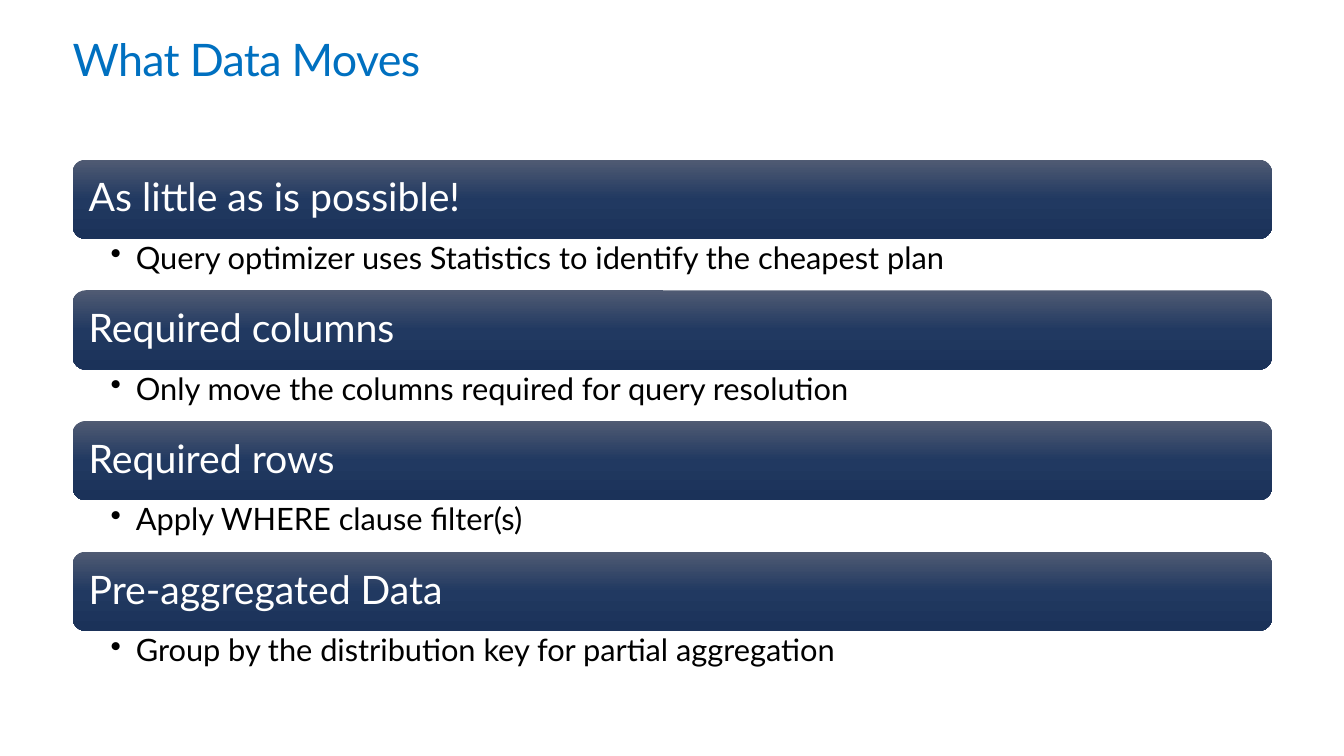
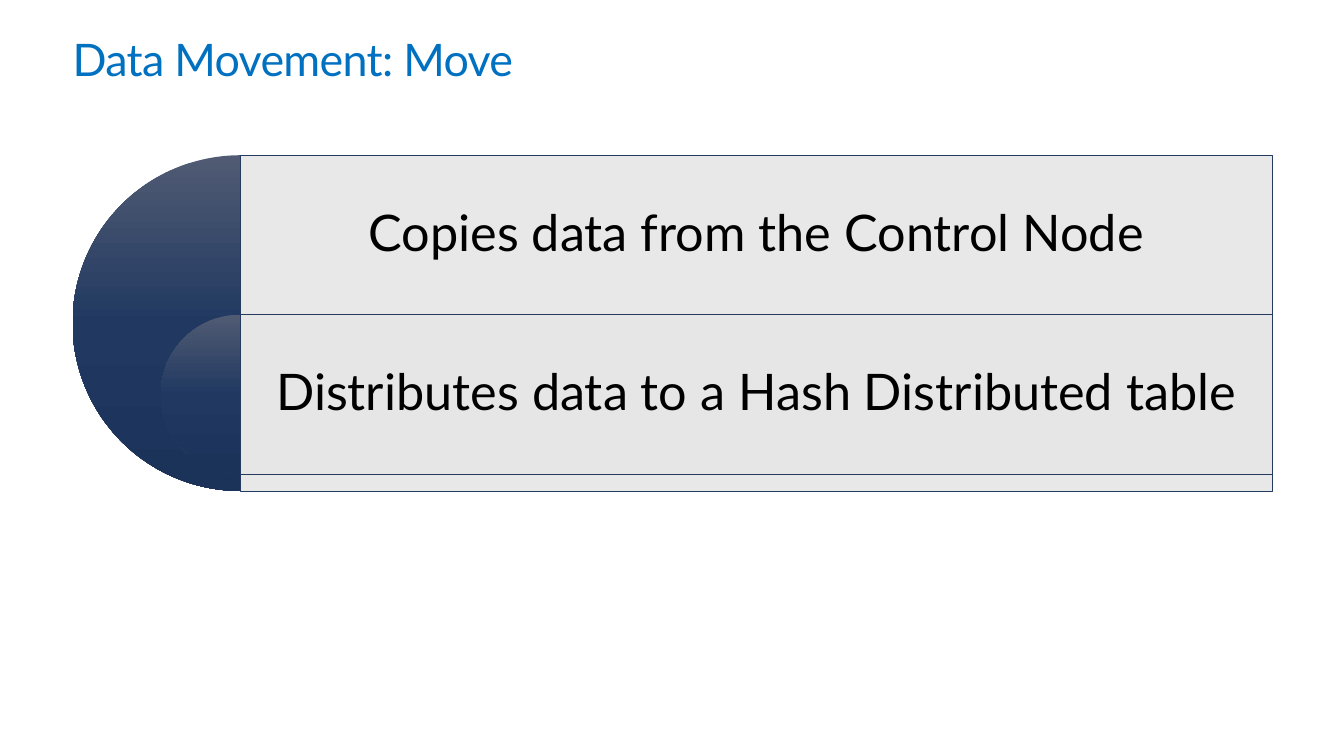
from pptx import Presentation
from pptx.dml.color import RGBColor
from pptx.enum.shapes import MSO_SHAPE
from pptx.enum.text import MSO_ANCHOR, PP_ALIGN
from pptx.oxml import parse_xml
from pptx.oxml.ns import nsdecls, qn
from pptx.util import Pt

# Content
MOVES_TITLE = "What Data Moves"
MOVES = [
    ("As little as is possible!",
     "Query optimizer uses Statistics to identify the cheapest plan"),
    ("Required columns", "Only move the columns required for query resolution"),
    ("Required rows", "Apply WHERE clause filter(s)"),
    ("Pre-aggregated Data", "Group by the distribution key for partial aggregation"),
]
STEPS_TITLE = "Data Movement: Move"
STEPS = ["Copies data from the Control Node",
         "Distributes data to a Hash Distributed table"]

# Shared style
COLORS = {"title": "0070C0", "light": "FFFFFF", "text": "000000",
          "panel": "E6E6E6", "outline": "243A5E"}
NAVY_STOPS = [(0, "505B73"), (50, "213961"), (100, "1B3259")]
FONT = "Lato"
LEFT, WIDTH = 51.84, 856.8
RIGHT = LEFT + WIDTH

# Bars of the first slide
BARS_TOP, BAR_HEIGHT, BAR_PITCH = 114, 56.7, 93.35

# Nested half circles of the second slide
STEPS_TOP, OUTER_SIZE, STEP_HEIGHT = 110.9, 239.8, 113.8


def write(shape, text, size=22, color="text", insets=(0, 0, 0, 0),
          align=PP_ALIGN.LEFT, anchor=MSO_ANCHOR.TOP, line_spacing=0.9,
          tracking=None, bullet_indent=None):
    """Put one formatted paragraph in a shape; insets are left, top, right, bottom."""
    frame = shape.text_frame
    frame.word_wrap = True
    frame.vertical_anchor = anchor
    (frame.margin_left, frame.margin_top,
     frame.margin_right, frame.margin_bottom) = map(Pt, insets)
    paragraph = frame.paragraphs[0]
    paragraph.alignment = align
    paragraph.line_spacing = line_spacing
    run = paragraph.add_run()
    run.text = text
    run.font.name = FONT
    run.font.size = Pt(size)
    run.font.color.rgb = RGBColor.from_string(COLORS[color])
    if tracking:
        run.font._element.set("spc", str(int(tracking * 100)))
    if bullet_indent:
        properties = paragraph._p.get_or_add_pPr()
        properties.set("marL", str(Pt(bullet_indent)))
        properties.set("indent", str(-Pt(bullet_indent)))
        properties.append(parse_xml(f'<a:buChar {nsdecls("a")} char="•"/>'))


def add_box(slide, *box):
    return slide.shapes.add_textbox(*map(Pt, box))


def add_navy(slide, kind, *box):
    """Add a borderless shape with the vertical navy gradient."""
    shape = slide.shapes.add_shape(kind, *map(Pt, box))
    stops = "".join(f'<a:gs pos="{pos * 1000}"><a:srgbClr val="{color}"/></a:gs>'
                    for pos, color in NAVY_STOPS)
    shape._element.spPr.insert(2, parse_xml(
        f'<a:gradFill {nsdecls("a")} rotWithShape="1"><a:gsLst>{stops}</a:gsLst>'
        '<a:lin ang="5400000" scaled="0"/></a:gradFill>'))
    shape.line.fill.background()
    shape.shadow.inherit = False
    return shape


def add_panel(slide, *box):
    """Add an outlined grey rectangle at 90% opacity."""
    panel = slide.shapes.add_shape(MSO_SHAPE.RECTANGLE, *map(Pt, box))
    panel.fill.solid()
    panel.fill.fore_color.rgb = RGBColor.from_string(COLORS["panel"])
    color = panel._element.spPr.find(qn("a:solidFill"))[0]
    color.append(parse_xml(f'<a:alpha {nsdecls("a")} val="90000"/>'))
    panel.line.color.rgb = RGBColor.from_string(COLORS["outline"])
    panel.line.width = Pt(0.5)
    panel.shadow.inherit = False
    return panel


def add_titled_slide(deck, title):
    slide = deck.slides.add_slide(deck.slide_layouts[6])
    write(add_box(slide, LEFT, 25.2, WIDTH, 36.2), title, size=32,
          color="title", line_spacing=Pt(36.2), tracking=-0.5)
    return slide


def build_moves(deck):
    slide = add_titled_slide(deck, MOVES_TITLE)
    for index, (heading, detail) in enumerate(MOVES):
        top = BARS_TOP + index * BAR_PITCH
        bar = add_navy(slide, MSO_SHAPE.ROUNDED_RECTANGLE,
                       LEFT, top, WIDTH, BAR_HEIGHT)
        write(bar, heading, size=28, color="light", insets=(8.8, 8.8, 8.8, 8.8),
              anchor=MSO_ANCHOR.MIDDLE)
        detail_box = add_box(slide, LEFT, top + BAR_HEIGHT,
                             WIDTH, BAR_PITCH - BAR_HEIGHT)
        write(detail_box, detail, insets=(27.2, 2.8, 15.6, 2.8), bullet_indent=18)


def build_steps(deck):
    slide = add_titled_slide(deck, STEPS_TITLE)
    center = LEFT + OUTER_SIZE / 2
    for index, step in enumerate(STEPS):
        top = STEPS_TOP + index * STEP_HEIGHT
        size = OUTER_SIZE if index == 0 else STEP_HEIGHT
        half_circle = add_navy(slide, MSO_SHAPE.PIE,
                               center - size / 2, top, size, size)
        # Angles from 90 to 270 degrees keep the left half
        half_circle.adjustments[0] = 54
        half_circle.adjustments[1] = 162
        panel = add_panel(slide, center, top, RIGHT - center, size)
        # The text stays in the top row of a taller panel
        write(panel, step, size=36, align=PP_ALIGN.CENTER, anchor=MSO_ANCHOR.MIDDLE,
              insets=(10.8, 10.8, 10.8, 10.8 + size - STEP_HEIGHT))


def main():
    deck = Presentation()
    deck.slide_width, deck.slide_height = Pt(960), Pt(540)
    build_moves(deck)
    build_steps(deck)
    deck.save("out.pptx")


if __name__ == "__main__":
    main()
